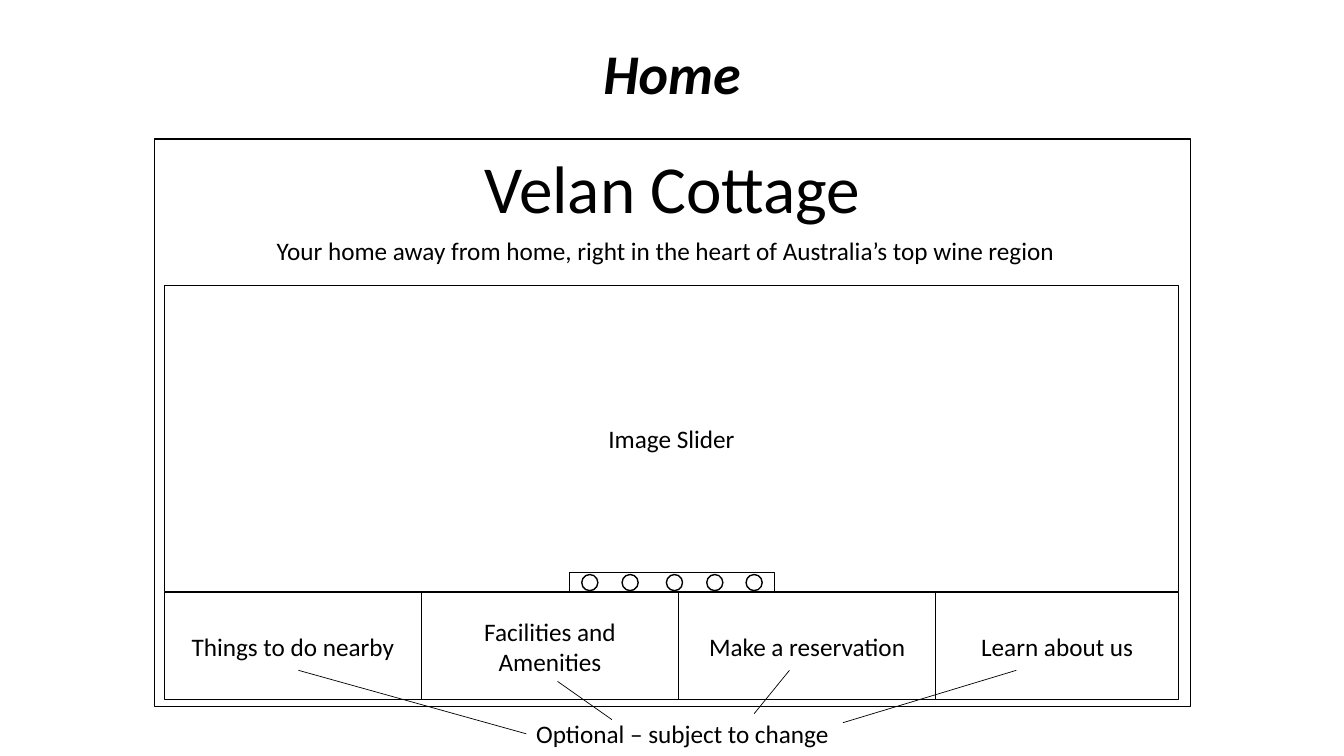
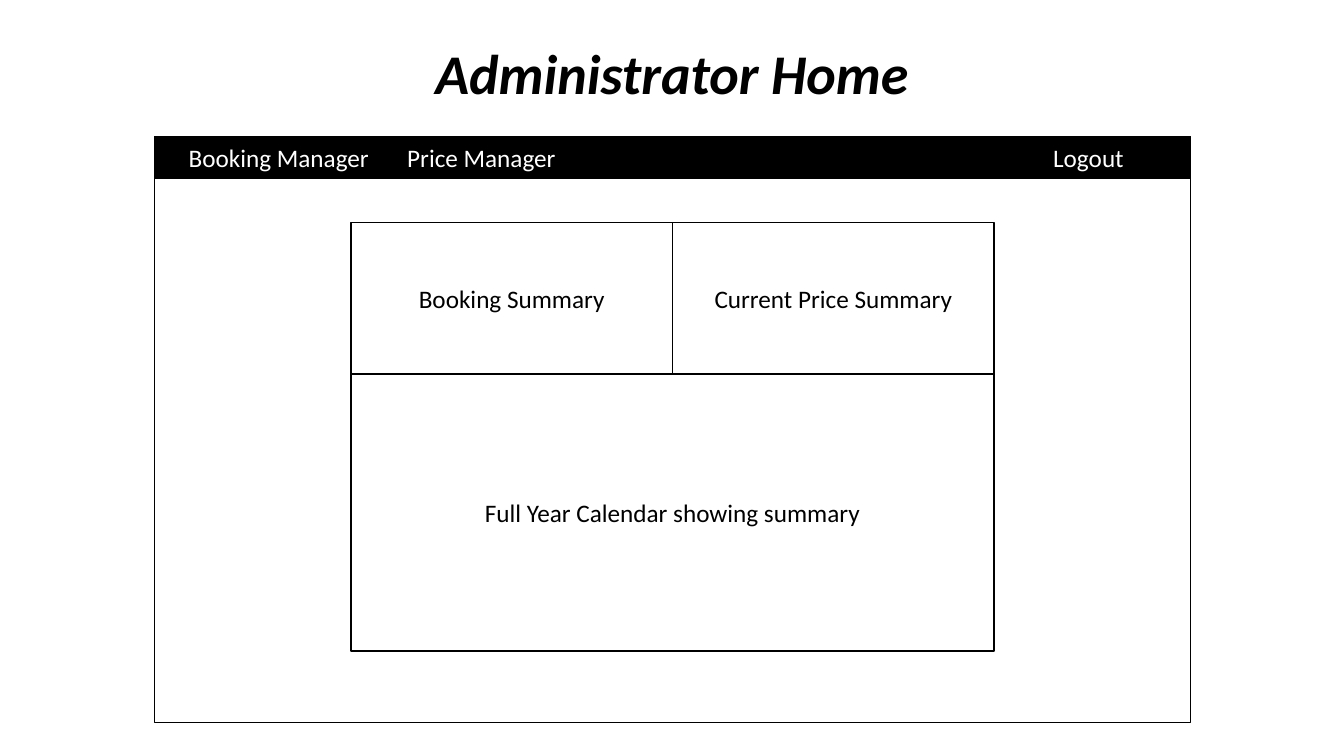
"""Builds two website wireframe slides: the public home page and the administrator home page."""
import pptx
import pptx.dml.color
import pptx.enum.shapes
import pptx.enum.text
import pptx.oxml.ns
import pptx.util
from pptx.util import Inches, Pt

BLACK = pptx.dml.color.RGBColor(0, 0, 0)
WHITE = pptx.dml.color.RGBColor(255, 255, 255)
FONT = "Calibri"
RECTANGLE = pptx.enum.shapes.MSO_SHAPE.RECTANGLE
OVAL = pptx.enum.shapes.MSO_SHAPE.OVAL
CENTER = pptx.enum.text.PP_ALIGN.CENTER
LEFT = pptx.enum.text.PP_ALIGN.LEFT
TOP = pptx.enum.text.MSO_ANCHOR.TOP
MIDDLE = pptx.enum.text.MSO_ANCHOR.MIDDLE

SLIDE_WIDTH, SLIDE_HEIGHT = 13.33, 7.5
FRAME_LEFT, FRAME_WIDTH = 1.53, 10.28

HOME_TITLE = "Home"
SITE_NAME = "Velan Cottage"
TAGLINE = "Your home away from home, right in the heart of Australia’s top wine region "
SLIDER_LABEL = "Image Slider"
HOME_TILES = ["Things to do nearby", "Facilities and Amenities", "Make a reservation", "Learn about us"]
TILE_NOTE = "Optional – subject to change"
NOTE_LINES = [
    ((5.22, 7.28), (2.96, 6.65)),
    ((6.07, 7.14), (5.53, 6.76)),
    ((7.48, 7.08), (7.83, 6.65)),
    ((10.08, 6.65), (8.36, 7.17)),
]
SLIDER_DOTS = [5.77, 6.17, 6.61, 7.01, 7.4]

ADMIN_TITLE = "Administrator Home"
MENU_ITEMS = [("Booking Manager", 1.76), ("Price Manager", 3.77), ("Logout", 9.79)]
SUMMARIES = ["Booking Summary", "Current Price Summary"]
CALENDAR_LABEL = "Full Year Calendar showing summary"


def write_text(shape, text, size=18, color=BLACK, bold=False, italic=False, align=CENTER, anchor=MIDDLE):
    frame = shape.text_frame
    frame.word_wrap = True
    frame.vertical_anchor = anchor
    paragraph = frame.paragraphs[0]
    paragraph.alignment = align
    run = paragraph.add_run()
    run.text = text
    run.font.name, run.font.size = FONT, Pt(size)
    run.font.bold, run.font.italic = bold, italic
    run.font.color.rgb = color


def add_label(slide, text, left, top, width, height, **text_format):
    box = slide.shapes.add_textbox(Inches(left), Inches(top), Inches(width), Inches(height))
    write_text(box, text, anchor=TOP, **text_format)


def add_box(slide, left, top, width, height, text="", kind=RECTANGLE, fill=WHITE):
    shape = slide.shapes.add_shape(kind, Inches(left), Inches(top), Inches(width), Inches(height))
    shape.shadow.inherit = False
    shape.fill.solid()
    shape.fill.fore_color.rgb = fill
    shape.line.color.rgb = BLACK
    shape.line.width = Pt(1)
    if text:
        write_text(shape, text)


def add_line(slide, start, end):
    points = [Inches(value) for value in start + end]
    connector = slide.shapes.add_connector(pptx.enum.shapes.MSO_CONNECTOR.STRAIGHT, *points)
    connector.line.color.rgb = BLACK
    connector.line.width = Pt(0.5)
    properties = connector._element.spPr
    properties.append(properties.makeelement(pptx.oxml.ns.qn("a:effectLst"), {}))


def add_page(presentation, title, frame_top, frame_height):
    slide = presentation.slides.add_slide(presentation.slide_layouts[6])
    add_label(slide, title, 0, 0.33, SLIDE_WIDTH, 0.77, size=40, bold=True, italic=True)
    add_box(slide, FRAME_LEFT, frame_top, FRAME_WIDTH, frame_height)
    return slide


def build_home(presentation):
    slide = add_page(presentation, HOME_TITLE, 1.38, 5.63)
    left, width, tile_width = 1.63, 10.06, 2.55
    add_box(slide, left, 2.83, width, 3.04, SLIDER_LABEL)
    add_box(slide, 5.65, 5.68, 2.03, 0.19)
    for dot_left in SLIDER_DOTS:
        add_box(slide, dot_left, 5.7, 0.16, 0.16, kind=OVAL)
    add_label(slide, SITE_NAME, FRAME_LEFT, 1.4, FRAME_WIDTH, 0.91, size=48)
    add_label(slide, TAGLINE, left, 2.29, 10, 0.4)
    for index, text in enumerate(HOME_TILES):
        offset = index * tile_width
        add_box(slide, left + offset, 5.88, min(tile_width, width - offset), 1.06, text)
    add_label(slide, TILE_NOTE, 5.22, 7.08, 3.3, 0.4, align=LEFT)
    for start, end in NOTE_LINES:
        add_line(slide, start, end)


def build_admin(presentation):
    top, menu_height = 1.36, 0.41
    slide = add_page(presentation, ADMIN_TITLE, top, 5.81)
    add_box(slide, FRAME_LEFT, top, FRAME_WIDTH, menu_height, fill=BLACK)
    for text, item_left in MENU_ITEMS:
        add_label(slide, text, item_left, top, 2.01, menu_height, color=WHITE)
    left, summary_top, summary_width, summary_height = 3.48, 2.21, 3.19, 1.5
    for index, text in enumerate(SUMMARIES):
        add_box(slide, left + index * summary_width, summary_top, summary_width, summary_height, text)
    add_box(slide, left, summary_top + summary_height, len(SUMMARIES) * summary_width, 2.75, CALENDAR_LABEL)


presentation = pptx.Presentation()
presentation.slide_width = Inches(SLIDE_WIDTH)
presentation.slide_height = Inches(SLIDE_HEIGHT)
build_home(presentation)
build_admin(presentation)
presentation.save("out.pptx")
